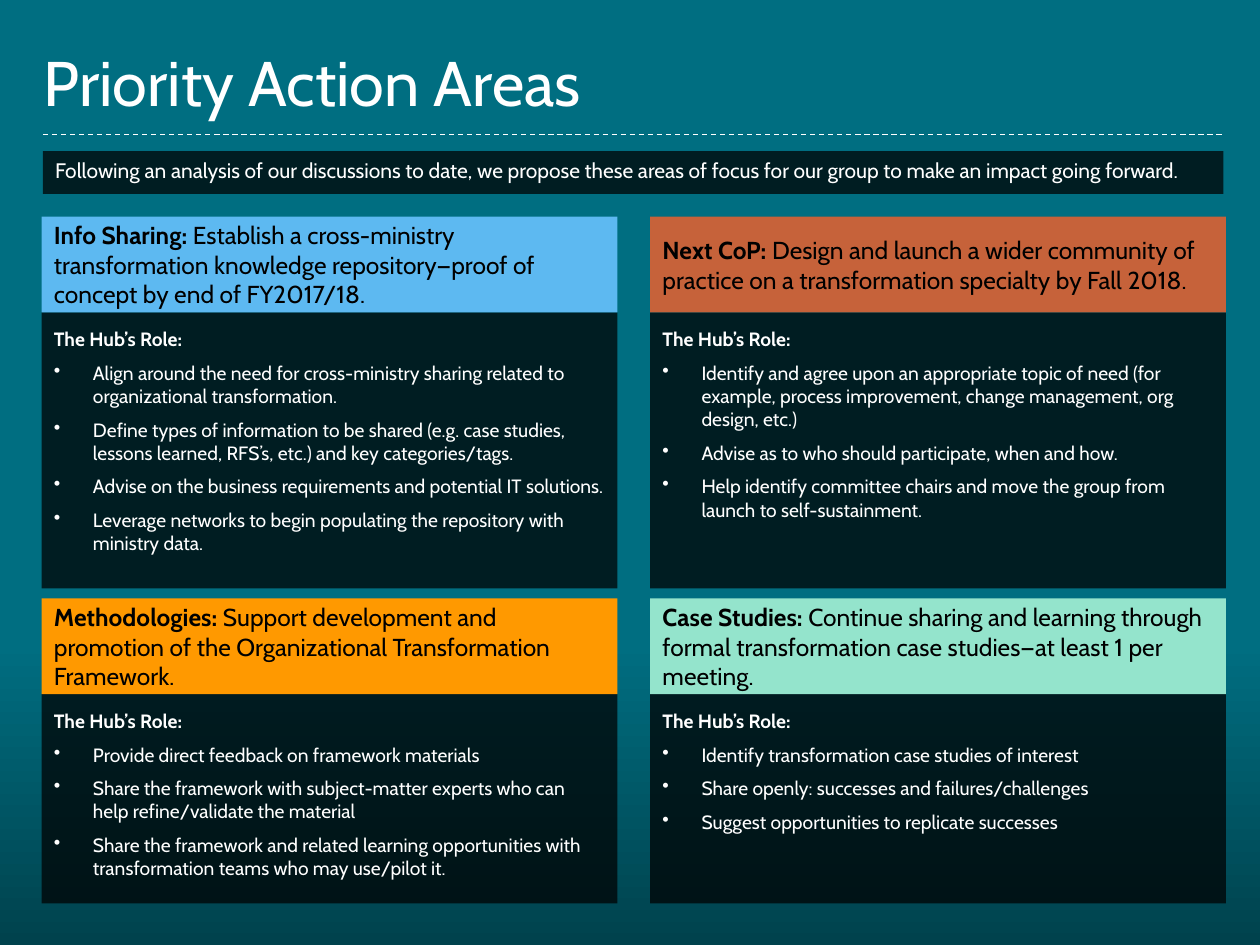
from lxml.etree import SubElement
from pptx import Presentation
from pptx.dml.color import RGBColor
from pptx.enum.dml import MSO_LINE
from pptx.enum.shapes import MSO_CONNECTOR, MSO_SHAPE
from pptx.enum.text import MSO_ANCHOR, PP_ALIGN
from pptx.oxml.ns import qn
from pptx.util import Inches, Pt

COLORS = {
    "teal": "006E81", "deep_teal": "00424D", "white": "FFFFFF", "black": "000000",
    "blue": "5DB9F1", "rust": "C6623A", "orange": "FF9900", "mint": "94E4CC",
}
FONT = "Cabin"
PANEL_OPACITY = 73
LEFTS = (0.33, 5.16)
ROWS = ((1.72, 2.19), (4.75, 1.66))
CARD_WIDTH, HEADER_HEIGHT = 4.57, 0.76

AREAS = [
    ("Info Sharing: ",
     "Establish a cross-ministry transformation knowledge repository—proof of concept by end of FY2017/18.",
     "blue",
     ["Align around the need for cross-ministry sharing related to organizational transformation.",
      "Define types of information to be shared (e.g. case studies, lessons learned, RFS’s, etc.) and key categories/tags.",
      "Advise on the business requirements and potential IT solutions.",
      "Leverage networks to begin populating the repository with ministry data."]),
    ("Next CoP: ",
     "Design and launch a wider community of practice on a transformation specialty by Fall 2018.",
     "rust",
     ["Identify and agree upon an appropriate topic of need (for example, process improvement, change management, org design, etc.)",
      "Advise as to who should participate, when and how.",
      "Help identify committee chairs and move the group from launch to self-sustainment."]),
    ("Methodologies: ",
     "Support development and promotion of the Organizational Transformation Framework.",
     "orange",
     ["Provide direct feedback on framework materials",
      "Share the framework with subject-matter experts who can help refine/validate the material",
      "Share the framework and related learning opportunities with transformation teams who may use/pilot it."]),
    ("Case Studies: ",
     "Continue sharing and learning through formal transformation case studies—at least 1 per meeting.",
     "mint",
     ["Identify transformation case studies of interest",
      "Share openly: successes and failures/challenges",
      "Suggest opportunities to replicate successes"]),
]


def rgb(name):
    """Return the named colour."""
    return RGBColor.from_string(COLORS[name])


def paint_background(page):
    """Fill the page with a gradient that darkens towards the bottom."""
    fill = page.background.fill
    fill.gradient()
    fill.gradient_angle = 270
    for stop, name, position in zip(fill.gradient_stops, ("teal", "deep_teal"), (0.68, 1)):
        stop.color.rgb = rgb(name)
        stop.position = position


def add_box(page, left, top, width, height, color, opacity=100):
    """Add a borderless rectangle that holds wrapped text."""
    box = page.shapes.add_shape(MSO_SHAPE.RECTANGLE, Inches(left), Inches(top),
                                Inches(width), Inches(height))
    box.shadow.inherit = False
    box.line.fill.background()
    box.fill.solid()
    box.fill.fore_color.rgb = rgb(color)
    if opacity < 100:
        tint = box.fill._xPr.find(qn("a:solidFill"))[0]
        SubElement(tint, qn("a:alpha"), val=str(opacity * 1000))
    box.text_frame.word_wrap = True
    return box


def style_paragraph(para, size, color, before=0, after=0):
    """Set the font, alignment and spacing of a paragraph."""
    para.alignment = PP_ALIGN.LEFT
    para.space_before, para.space_after = Pt(before), Pt(after)
    para.font.name, para.font.size = FONT, Pt(size)
    para.font.color.rgb = rgb(color)


def add_bullet(para):
    """Give a paragraph a hanging bullet."""
    properties = para._p.get_or_add_pPr()
    properties.set("marL", str(Inches(0.31)))
    properties.set("indent", str(-Inches(0.31)))
    bullet = properties.makeelement(qn("a:buChar"), {"char": "•"})
    properties.find(qn("a:defRPr")).addprevious(bullet)


def add_title(page, text):
    """Add the page title."""
    box = page.shapes.add_textbox(Inches(0.25), Inches(0.02), Inches(9.42), Inches(1.25))
    frame = box.text_frame
    frame.word_wrap = True
    frame.vertical_anchor = MSO_ANCHOR.MIDDLE
    frame.text = text
    style_paragraph(frame.paragraphs[0], 36, "white")


def add_divider(page):
    """Add the dashed line below the title."""
    line = page.shapes.add_connector(MSO_CONNECTOR.STRAIGHT, Inches(0.34), Inches(1.07),
                                     Inches(9.71), Inches(1.07))
    line.line.color.rgb = rgb("white")
    line.line.width = Pt(0.75)
    line.line.dash_style = MSO_LINE.DASH
    SubElement(line._element.spPr, qn("a:effectLst"))


def add_intro(page, text):
    """Add the introductory banner."""
    frame = add_box(page, 0.34, 1.2, 9.37, 0.34, "black", PANEL_OPACITY).text_frame
    frame.vertical_anchor = MSO_ANCHOR.TOP
    frame.text = text
    style_paragraph(frame.paragraphs[0], 12, "white", 6, 6)


def add_role_panel(page, left, top, height, actions):
    """Add the dark panel that lists the hub's role."""
    frame = add_box(page, left, top, CARD_WIDTH, height, "black", PANEL_OPACITY).text_frame
    frame.vertical_anchor = MSO_ANCHOR.TOP
    frame.margin_top = Inches(0.12)
    frame.text = "\n".join(["The Hub’s Role:", *actions])
    heading, *items = frame.paragraphs
    for para in frame.paragraphs:
        style_paragraph(para, 11, "white", after=6)
    heading.font.bold = True
    for para in items:
        add_bullet(para)


def add_header(page, left, top, name, goal, color):
    """Add the coloured header with an area's name and goal."""
    frame = add_box(page, left, top, CARD_WIDTH, HEADER_HEIGHT, color).text_frame
    frame.vertical_anchor = MSO_ANCHOR.MIDDLE
    para = frame.paragraphs[0]
    style_paragraph(para, 14, "black", 6, 6)
    for text, bold in ((name, True), (goal, False)):
        span = para.add_run()
        span.text = text
        span.font.bold = bold


def main():
    """Build the slide and save it."""
    deck = Presentation()
    deck.slide_width, deck.slide_height = Inches(10), Inches(7.5)
    page = deck.slides.add_slide(deck.slide_layouts[6])
    paint_background(page)
    add_title(page, "Priority Action Areas")
    for index, (name, goal, color, actions) in enumerate(AREAS):
        top, panel_height = ROWS[index // 2]
        left = LEFTS[index % 2]
        add_role_panel(page, left, top + HEADER_HEIGHT, panel_height, actions)
        add_header(page, left, top, name, goal, color)
    add_divider(page)
    add_intro(page, "Following an analysis of our discussions to date, we propose these areas "
                    "of focus for our group to make an impact going forward.")
    deck.save("out.pptx")


if __name__ == "__main__":
    main()
